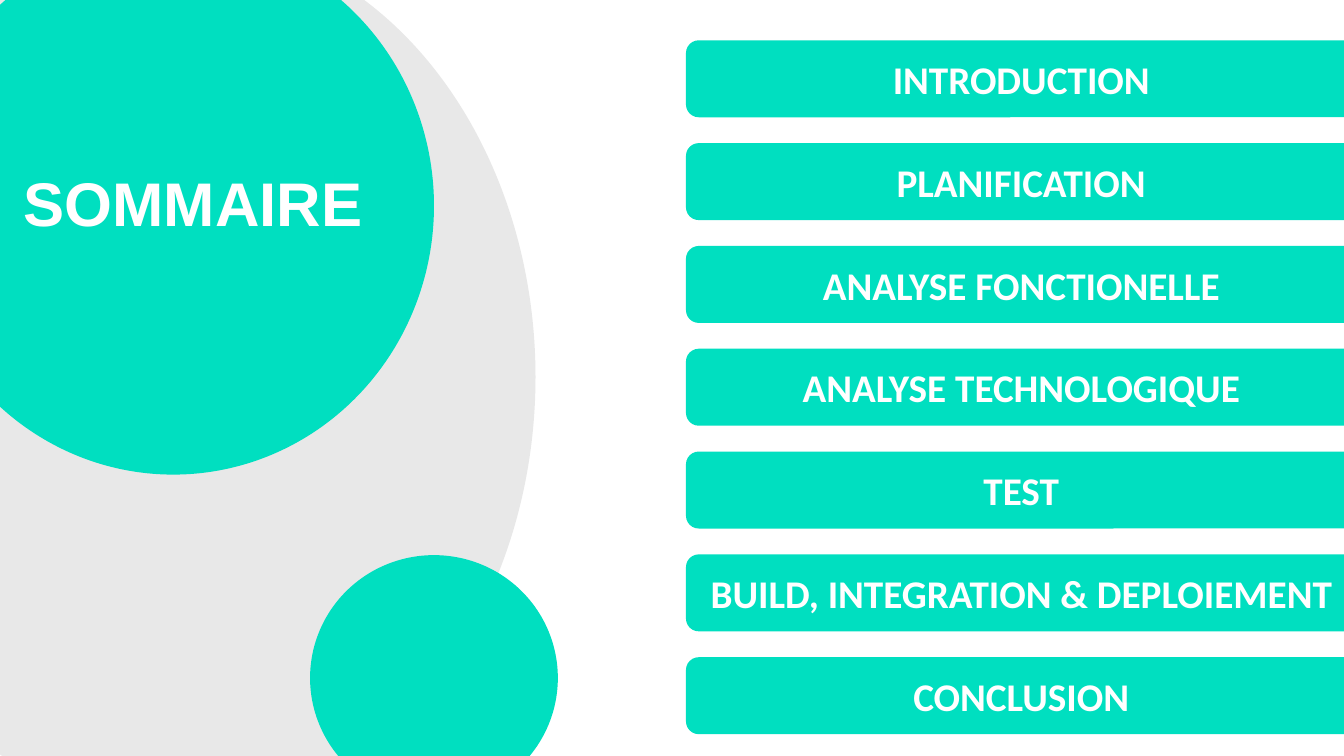
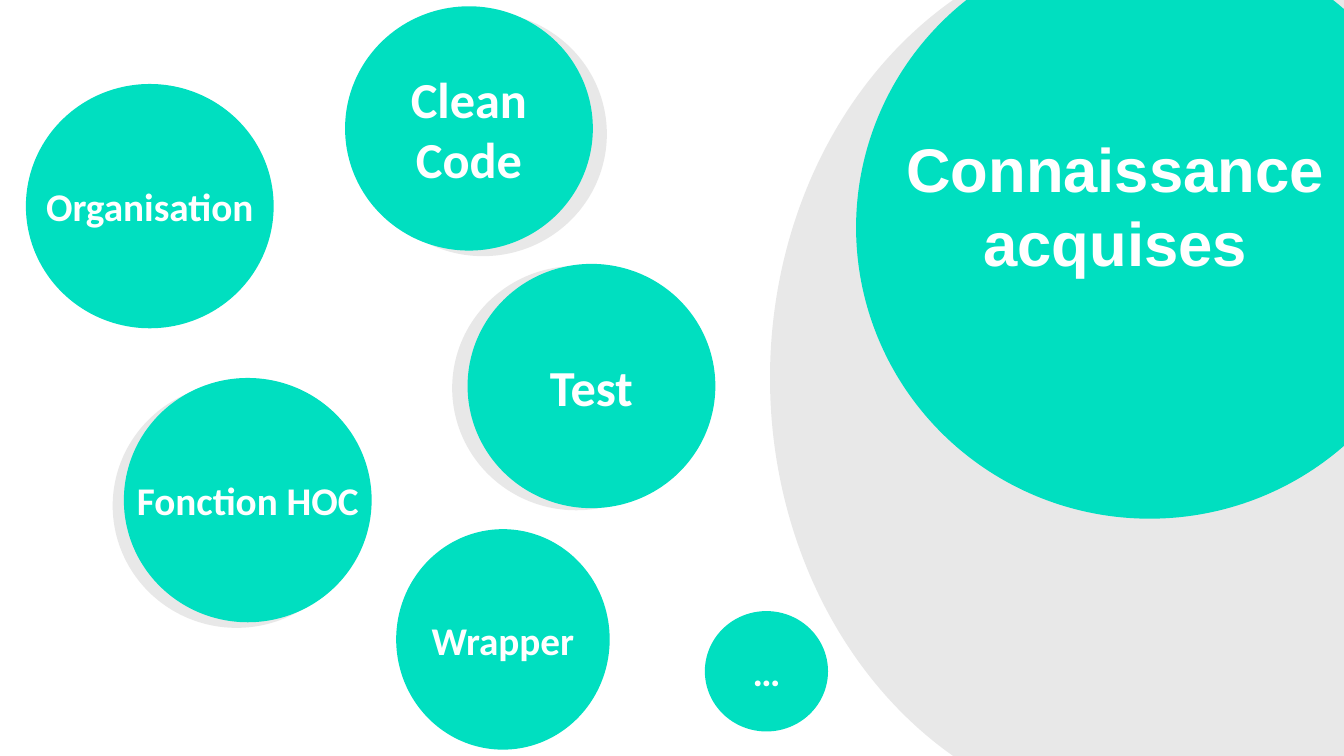
from dataclasses import dataclass

from lxml import etree
from pptx import Presentation
from pptx.dml.color import RGBColor
from pptx.enum import shapes, text
from pptx.oxml import ns
from pptx.util import Pt

# Shared look
TEAL, GREY, WHITE = "00DFC0", "A5A5A5", "FFFFFF"
HEAD, BODY = "Arial", "Calibri"
OVAL = shapes.MSO_SHAPE.OVAL
ROUND = shapes.MSO_SHAPE.ROUNDED_RECTANGLE


@dataclass
class Box:
    left: float
    top: float
    width: float
    height: float

    def shift(self, dx: float, dy: float) -> "Box":
        return Box(self.left + dx, self.top + dy, self.width, self.height)

    def lengths(self) -> list:
        return [Pt(n) for n in (self.left, self.top, self.width, self.height)]


@dataclass
class Disc:
    label: str
    box: Box
    size: int = 28
    wrap: bool = False
    halo: tuple[float, float] | None = None


def paint(fill, color: str, alpha: int = 100) -> None:
    fill.solid()
    fill.fore_color.rgb = RGBColor.from_string(color)
    if alpha < 100:
        tint = fill._xPr.find(".//" + ns.qn("a:srgbClr"))
        etree.SubElement(tint, ns.qn("a:alpha")).set("val", str(alpha * 1000))


def write(frame, words: str, font: str, size: int, wrap: bool) -> None:
    frame.word_wrap = wrap
    para = frame.paragraphs[0]
    para.alignment = text.PP_ALIGN.CENTER
    run = para.add_run()
    run.text = words
    run.font.name, run.font.size, run.font.bold = font, Pt(size), True
    run.font.color.rgb = RGBColor.from_string(WHITE)


def draw(slide, kind, box: Box, color: str = TEAL, alpha: int = 100):
    shape = slide.shapes.add_shape(kind, *box.lengths())
    shape.shadow.inherit = False
    shape.line.fill.background()
    paint(shape.fill, color, alpha)
    return shape


def label(shape, words: str, size: int = 28, wrap: bool = False) -> None:
    shape.text_frame.vertical_anchor = text.MSO_ANCHOR.MIDDLE
    write(shape.text_frame, words, BODY, size, wrap)


def cover(slide, back: Box, front: Box, title: str, place: Box) -> None:
    """Big pale ellipse, teal ellipse over it, and the slide title."""
    draw(slide, OVAL, back, GREY, 25)
    draw(slide, OVAL, front)
    area = slide.shapes.add_textbox(*place.lengths())
    write(area.text_frame, title, HEAD, 44, True)


def agenda(slide) -> None:
    cover(slide, Box(-123, -45, 505.5, 628.5), Box(-62.5, -45, 372.5, 384),
          "SOMMAIRE", Box(-14.5, 114.5, 305, 60.5))
    draw(slide, OVAL, Box(221.5, 396.5, 177, 175.5))

    # Seven bars at an even pitch
    first, pitch = Box(490, 28.8, 479, 55), 73.44
    items = ("INTRODUCTION", "PLANIFICATION", "ANALYSE FONCTIONELLE",
             "ANALYSE TECHNOLOGIQUE", "TEST",
             "BUILD, INTEGRATION & DEPLOIEMENT", "CONCLUSION")
    for i, item in enumerate(items):
        label(draw(slide, ROUND, first.shift(0, i * pitch)), item)


def skills(slide) -> None:
    cover(slide, Box(550, -45.5, 542, 631), Box(611.5, -45.5, 419.5, 416),
          "Connaissance acquises", Box(616.5, 90, 360.5, 114))

    # Skill discs, some with a pale halo
    base = Box(0, 0, 177, 174.5)
    discs = (
        Disc("Organisation", base.shift(18.5, 60)),
        Disc("Clean Code", base.shift(246.5, 4.5), 36, True, (10, 4)),
        Disc("Fonction HOC", base.shift(88.5, 270), halo=(-8, 4)),
        Disc("Test", base.shift(334, 188.5), 36, halo=(-11, 1.5)),
        Disc("Wrapper", Box(283, 378, 152.5, 157.5)),
        Disc("…", Box(503.5, 436.5, 88, 86)),
    )
    for disc in discs:
        if disc.halo:
            draw(slide, OVAL, disc.box.shift(*disc.halo), GREY, 25)
        label(draw(slide, OVAL, disc.box), disc.label, disc.size, disc.wrap)


def main() -> None:
    deck = Presentation()
    deck.slide_width, deck.slide_height = Pt(960), Pt(540)
    blank = deck.slide_layouts[6]
    for build in (agenda, skills):
        slide = deck.slides.add_slide(blank)
        paint(slide.background.fill, WHITE)
        build(slide)
    deck.save("out.pptx")


if __name__ == "__main__":
    main()
